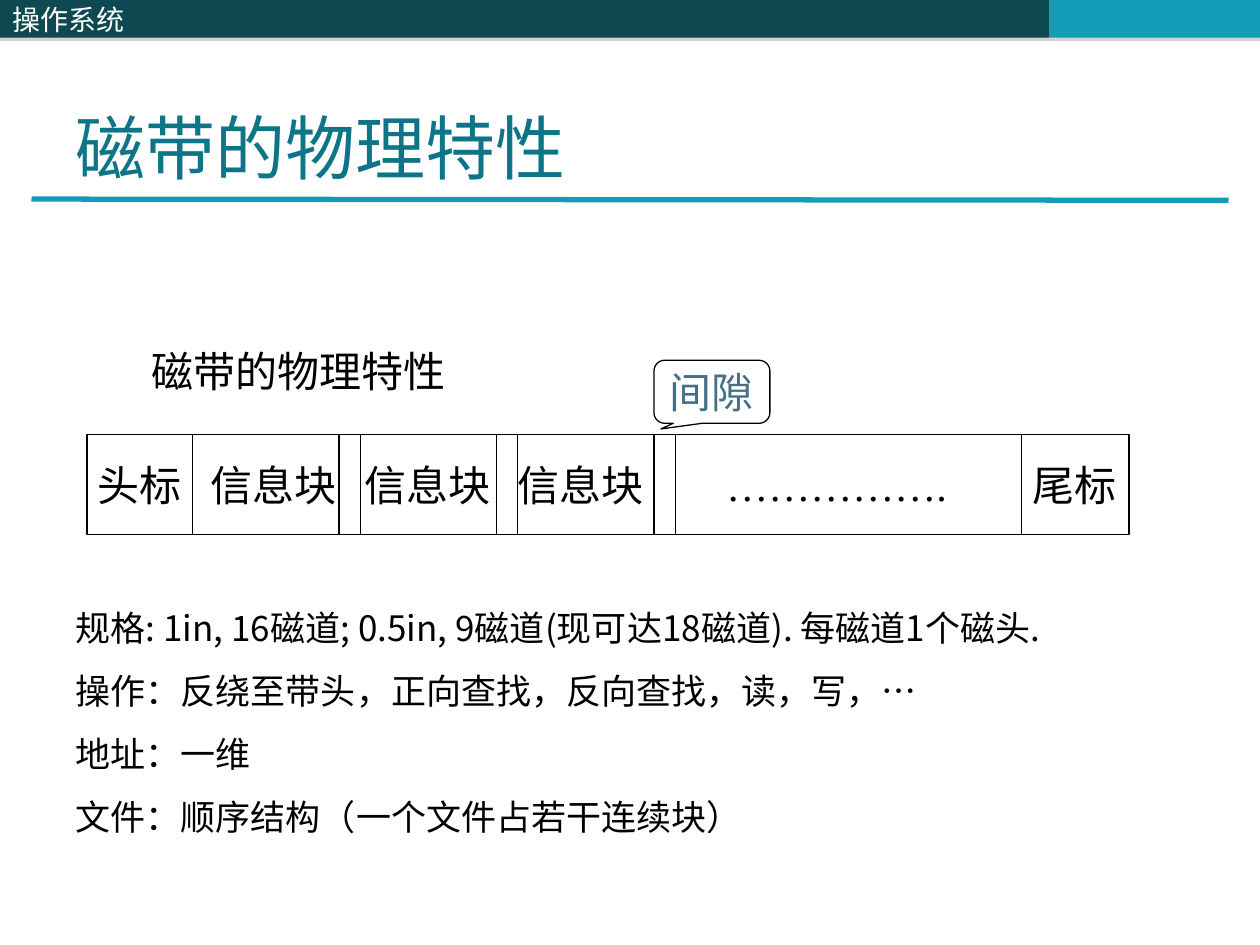
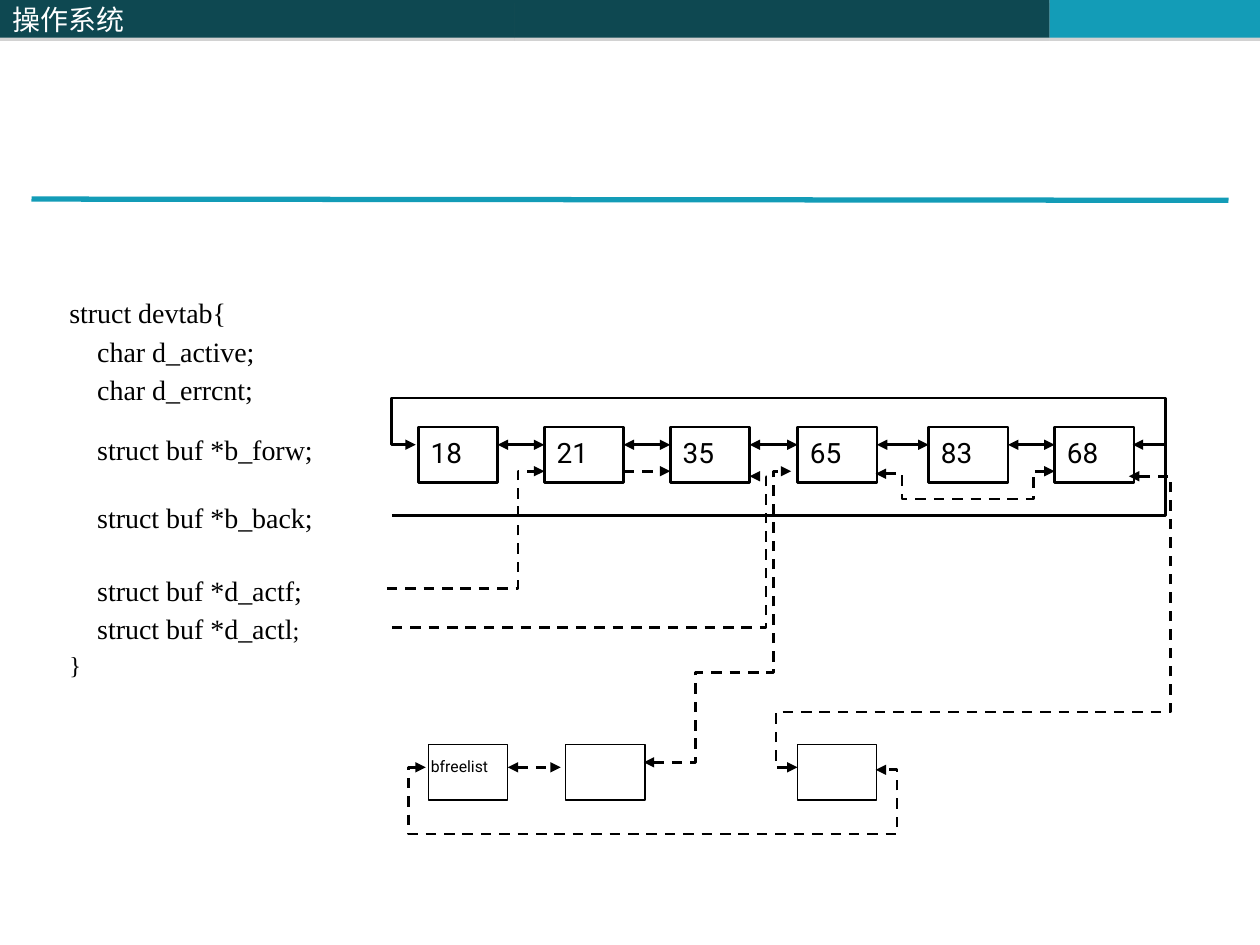
from dataclasses import dataclass
from itertools import pairwise

from lxml import etree
from pptx import Presentation
from pptx.dml.color import RGBColor as RGB
from pptx.enum.dml import MSO_LINE as Dash
from pptx.enum.shapes import MSO_CONNECTOR as Conn, MSO_SHAPE as Kind
from pptx.enum.text import MSO_ANCHOR as Anchor, MSO_AUTO_SIZE as Fit, PP_ALIGN as Align
from pptx.oxml.ns import qn
from pptx.util import Inches, Pt


@dataclass(frozen=True)
class Theme:
    dark: str = "0E4851"
    teal: str = "139CB7"
    title: str = "0E7589"
    blue: str = "437085"
    ink: str = "000000"
    paper: str = "FFFFFF"
    shade: str = "808080"
    sans: str = "Noto Sans CJK SC"
    serif: str = "Times New Roman"
    plain: str = "Roboto"
    head: int = 40
    big: int = 24
    body: int = 20
    base: int = 16
    code: int = 14
    tiny: int = 9
    thin: float = 0.75
    bold: float = 1.5
    rule: float = 3


T = Theme()


# Text
def write(para, words, size=T.base, font=T.sans, color=T.ink):
    run = para.add_run()
    run.text = words
    run.font.size = Pt(size)
    run.font.name = font
    run.font.color.rgb = RGB.from_string(color)
    east = etree.SubElement(run.font._element, qn("a:ea"))
    east.set("typeface", T.sans)


def put(shape, lines, align=Align.LEFT, anchor=Anchor.MIDDLE, wrap=True,
        pad=(0.1, 0.05, 0.1, 0.05), before=(), pitch=None, **look):
    """Fill a shape with one paragraph per line; pad is left, top, right, bottom."""
    frame = shape.text_frame
    frame.word_wrap = wrap
    frame.auto_size = Fit.NONE
    frame.vertical_anchor = anchor
    (frame.margin_left, frame.margin_top,
     frame.margin_right, frame.margin_bottom) = map(Inches, pad)
    for i, words in enumerate(lines):
        para = frame.paragraphs[0] if i == 0 else frame.add_paragraph()
        para.alignment = align
        para.space_before = Pt(before[i] if before else 0)
        if pitch:
            para.line_spacing = Pt(pitch)
        write(para, words, **look)
    return frame


def label(slide, box, lines, **look):
    return put(slide.shapes.add_textbox(*map(Inches, box)), lines, **look)


def place(shape, box):
    shape.left, shape.top, shape.width, shape.height = map(Inches, box)
    return shape


# Shapes and lines
def block(slide, box, kind=Kind.RECTANGLE, fill=None, line=None):
    shape = slide.shapes.add_shape(kind, *map(Inches, box))
    shape.shadow.inherit = False
    if fill:
        shape.fill.solid()
        shape.fill.fore_color.rgb = RGB.from_string(fill)
    else:
        shape.fill.background()
    if line:
        stroke(shape, line)
    else:
        shape.line.fill.background()
    return shape


def stroke(shape, width, color=T.ink, dash=False, ends=""):
    line = shape.line
    line.color.rgb = RGB.from_string(color)
    line.width = Pt(width)
    if dash:
        line.dash_style = Dash.DASH
    pen = shape._element.spPr.find(qn("a:ln"))
    for end in ends.split():
        etree.SubElement(pen, qn(f"a:{end}End")).set("type", "triangle")


def link(slide, start, end, width=T.bold, **look):
    wire = slide.shapes.add_connector(Conn.STRAIGHT, *map(Inches, (*start, *end)))
    stroke(wire, width, **look)
    etree.SubElement(wire._element.spPr, qn("a:effectLst"))


def route(slide, points, **look):
    spots = [(Inches(x), Inches(y)) for x, y in points]
    pen = slide.shapes.build_freeform(*spots[0], scale=1.0)
    pen.add_line_segments(spots[1:], close=False)
    shape = pen.convert_to_shape()
    shape.shadow.inherit = False
    shape.fill.background()
    stroke(shape, T.bold, **look)


def shade(shape):
    effects = shape._element.spPr.find(qn("a:effectLst"))
    drop = etree.SubElement(effects, qn("a:outerShdw"), dist=str(Pt(1.8)),
                            dir="5400000", rotWithShape="0")
    color = etree.SubElement(drop, qn("a:srgbClr"), val=T.shade)
    etree.SubElement(color, qn("a:alpha"), val="35000")


# Shared frame: top band and rule under the title
def start(deck, layout):
    slide = deck.slides.add_slide(deck.slide_layouts[layout])
    bands = [block(slide, (x, 0, w, 0.3), fill=fill) for x, w, fill in
             ((4.08, 4.25, T.dark), (8.33, 1.67, T.teal), (0, 4.08, T.dark))]
    for band in bands:
        shade(band)
    put(bands[-1], ["操作系统"], color=T.paper)
    link(slide, (0.25, 1.58), (9.75, 1.59), T.rule, color=T.teal)
    return slide


# Tape diagram
def tape(slide, x, y, w, h):
    block(slide, (x, y, w, h), fill=T.paper, line=T.thin)
    for dx in (0.84, 2, 2.17, 3.25, 3.42, 4.5, 4.67, 7.42):
        link(slide, (x + dx, y), (x + dx, y + h), T.thin)
    look = dict(size=T.big, font=T.serif, align=Align.CENTER, wrap=False)
    parts = {0.42: "头标", 1.48: "信息块", 2.7: "信息块", 3.92: "信息块",
             5.95: "…………….", 7.84: "尾标"}
    for mid, words in parts.items():
        label(slide, (x + mid - 0.5, y, 1, h), [words], **look)
    note = block(slide, (x + 4.5, y - 0.59, 0.92, 0.5),
                 Kind.ROUNDED_RECTANGULAR_CALLOUT, T.paper, T.thin)
    for i, value in enumerate((-0.44, 0.59, 0.17)):
        note.adjustments[i] = value
    put(note, ["间隙"], color=T.blue, **look)


def tape_slide(deck):
    slide = start(deck, 1)
    title, body = slide.placeholders
    put(place(title, (0.5, 0.42, 8.5, 1.08)), ["磁带的物理特性"],
        anchor=Anchor.BOTTOM, pad=(0.1, 0.05, 0.1, 0), size=T.head, color=T.title)
    label(slide, (0.6, 2.69, 3.03, 0.5), ["磁带的物理特性"],
          wrap=False, pad=(0.6, 0.05, 0.1, 0.05), size=T.big)
    tape(slide, 0.69, 3.45, 8.27, 0.79)
    frame = put(place(body, (0.5, 4.6, 8.78, 2.6)), [
        "规格: 1in, 16磁道; 0.5in, 9磁道(现可达18磁道). 每磁道1个磁头.",
        "操作：反绕至带头，正向查找，反向查找，读，写，…",
        "地址：一维",
        "文件：顺序结构（一个文件占若干连续块）",
    ], anchor=Anchor.TOP, pitch=36, size=T.body)
    for para in frame.paragraphs:
        props = para._p.get_or_add_pPr()
        props.set("marL", "0")
        props.set("indent", "0")
        etree.SubElement(props, qn("a:buNone"))


# Device table code
def code(slide, x, y, w, h):
    lines = ["struct devtab{", "    char d_active;", "    char d_errcnt;",
             "    struct buf *b_forw;", "    struct buf *b_back;",
             "    struct buf *d_actf;", "    struct buf *d_actl"]
    frame = label(slide, (x, y, w, h), lines, font=T.serif, anchor=Anchor.TOP,
                  pad=(0, 0.05, 0, 0.05), before=(0, 2.7, 2.7, 15.3, 19.3, 22.7, 2.7))
    write(frame.paragraphs[-1], ";", T.code, T.serif)
    last = frame.add_paragraph()
    last.space_before = Pt(2.7)
    write(last, "}", T.code, T.serif)


# Buffer queues
def queues(slide, x, y):
    wide, tall = 0.63, 0.44
    both = "head tail"

    def node(dx, dy, width):
        return block(slide, (x + dx, y + dy, wide, tall), line=width)

    def wire(*points, **look):
        spots = [(x + dx, y + dy) for dx, dy in points]
        draw = link if len(spots) == 2 else lambda s, *p, **k: route(s, p, **k)
        draw(slide, *spots, **look)

    # Device queue
    nodes = {"18": 0.32, "21": 1.32, "35": 2.32, "65": 3.33, "83": 4.37, "68": 5.37}
    for words, dx in nodes.items():
        put(node(dx, 0.39, T.bold), [words], font=T.plain, anchor=Anchor.TOP,
            pad=(0.1, 0.07, 0.1, 0.05))
    for left, right in pairwise(nodes.values()):
        wire((left + wide, 0.53), (right, 0.53), ends=both)
    wire((0.3, 0.53), (0.11, 0.53), (0.11, 0.16), (6.25, 0.16), (6.25, 0.53),
         (5.99, 0.53), ends=both)
    wire((0.11, 1.09), (6.25, 1.09), (6.25, 0.52))

    # Free list
    put(node(0.4, 2.91, T.thin), ["bfreelist"], size=T.tiny, font=T.plain,
        anchor=Anchor.TOP, pad=(0.02, 0.1, 0.02, 0.05))
    for dx in (1.49, 3.33):
        node(dx, 2.91, T.thin)

    # Dashed links
    for ends, *points in (
        ("tail", (1.95, 0.74), (2.32, 0.74)),
        ("tail", (0.07, 1.67), (1.11, 1.67), (1.11, 0.74), (1.32, 0.74)),
        ("tail", (0.11, 1.98), (3.08, 1.98), (3.08, 0.78), (2.95, 0.78)),
        (both, (1.03, 3.09), (1.45, 3.09)),
        (both, (3.95, 0.76), (4.16, 0.76), (4.16, 0.96), (5.2, 0.96),
         (5.2, 0.74), (5.37, 0.74)),
        (both, (2.11, 3.05), (2.52, 3.05), (2.52, 2.34), (3.14, 2.34),
         (3.14, 0.74), (3.28, 0.74)),
        (both, (0.38, 3.09), (0.24, 3.09), (0.24, 3.62), (4.12, 3.62),
         (4.12, 3.11), (3.95, 3.11)),
        (both, (3.33, 3.09), (3.16, 3.09), (3.16, 2.65), (6.29, 2.65),
         (6.29, 0.78), (5.96, 0.78)),
    ):
        wire(*points, dash=True, ends=ends)


def queue_slide(deck):
    slide = start(deck, 6)
    code(slide, 0.55, 2.3, 2.52, 3.05)
    queues(slide, 3, 3)


def main():
    deck = Presentation()
    deck.slide_width, deck.slide_height = Inches(10), Inches(7.5)
    tape_slide(deck)
    queue_slide(deck)
    deck.save("out.pptx")


if __name__ == "__main__":
    main()
